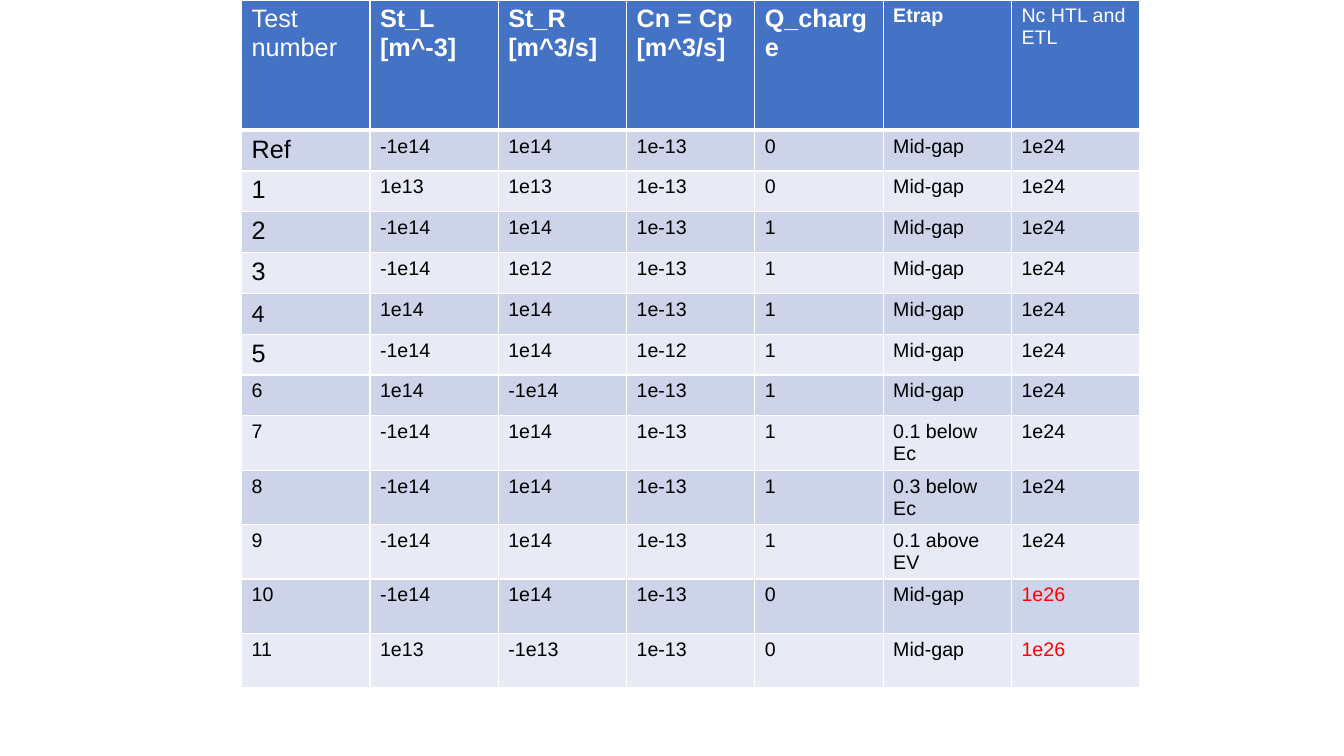
from pptx import Presentation
from pptx.dml.color import RGBColor
from pptx.oxml import parse_xml
from pptx.oxml.ns import nsdecls
from pptx.util import Pt

COLORS = {
    "header": "4472C4",
    "odd band": "CDD4EA",
    "even band": "E8EBF5",
    "border": "FFFFFF",
    "header text": "FFFFFF",
    "text": "000000",
    "changed": "FF0000",
}

HEADINGS = ["Test number", "St_L\n[m^-3]", "St_R\n[m^3/s]", "Cn = Cp\n[m^3/s]",
            "Q_charge", "Etrap", "Nc HTL and ETL"]
TESTS = [
    ["Ref", "-1e14", "1e14", "1e-13", "0", "Mid-gap", "1e24"],
    ["1", "1e13", "1e13", "1e-13", "0", "Mid-gap", "1e24"],
    ["2", "-1e14", "1e14", "1e-13", "1", "Mid-gap", "1e24"],
    ["3", "-1e14", "1e12", "1e-13", "1", "Mid-gap", "1e24"],
    ["4", "1e14", "1e14", "1e-13", "1", "Mid-gap", "1e24"],
    ["5", "-1e14", "1e14", "1e-12", "1", "Mid-gap", "1e24"],
    ["6", "1e14", "-1e14", "1e-13", "1", "Mid-gap", "1e24"],
    ["7", "-1e14", "1e14", "1e-13", "1", "0.1 below Ec", "1e24"],
    ["8", "-1e14", "1e14", "1e-13", "1", "0.3 below Ec", "1e24"],
    ["9", "-1e14", "1e14", "1e-13", "1", "0.1 above EV", "1e24"],
    ["10", "-1e14", "1e14", "1e-13", "0", "Mid-gap", "1e26"],
    ["11", "1e13", "-1e13", "1e-13", "0", "Mid-gap", "1e26"],
]
ROW_HEIGHTS = [93] + [29.15] * 7 + [38.88] * 5
COLUMN_WIDTH = 91.65


def add_borders(cell, top, bottom):
    for side, width in (("L", 1), ("R", 1), ("T", top), ("B", bottom)):
        cell._tc.get_or_add_tcPr().append(parse_xml(
            f'<a:ln{side} {nsdecls("a")} w="{Pt(width)}"><a:solidFill>'
            f'<a:srgbClr val="{COLORS["border"]}"/></a:solidFill></a:ln{side}>'))


def fill_cell(cell, text, fill, color, size, bold, font="Arial"):
    cell.fill.solid()
    cell.fill.fore_color.rgb = RGBColor.from_string(COLORS[fill])
    cell.text_frame.text = text
    for paragraph in cell.text_frame.paragraphs:
        for run in paragraph.runs:
            run.font.name = font
            run.font.size = Pt(size)
            run.font.bold = bold
            run.font.color.rgb = RGBColor.from_string(COLORS[color])


presentation = Presentation()
presentation.slide_width = Pt(960)
presentation.slide_height = Pt(540)
slide = presentation.slides.add_slide(presentation.slide_layouts[6])

# Table of test parameters
parameters = slide.shapes.add_table(
    len(ROW_HEIGHTS), len(HEADINGS), Pt(172.6), Pt(0),
    Pt(COLUMN_WIDTH * len(HEADINGS)), Pt(sum(ROW_HEIGHTS))).table
for column in parameters.columns:
    column.width = Pt(COLUMN_WIDTH)
for row, height in zip(parameters.rows, ROW_HEIGHTS):
    row.height = Pt(height)

# Header row: the first and last headings are regular, the last two smaller
for index, heading in enumerate(HEADINGS):
    cell = parameters.cell(0, index)
    add_borders(cell, top=1, bottom=3)
    fill_cell(cell, heading, "header", "header text",
              size=18 if index < 5 else 14, bold=0 < index < 6)

# Test rows: banded, with large labels from Ref to 5 and changed Nc in red
for number, test in enumerate(TESTS):
    band = "even band" if number % 2 else "odd band"
    for index, value in enumerate(test):
        cell = parameters.cell(number + 1, index)
        add_borders(cell, top=1 if number else 3, bottom=1)
        fill_cell(cell, value, band, "changed" if value == "1e26" else "text",
                  size=18 if index == 0 and number < 6 else 14, bold=False,
                  font="Calibri" if index == 0 and value == "4" else "Arial")

presentation.save("out.pptx")
